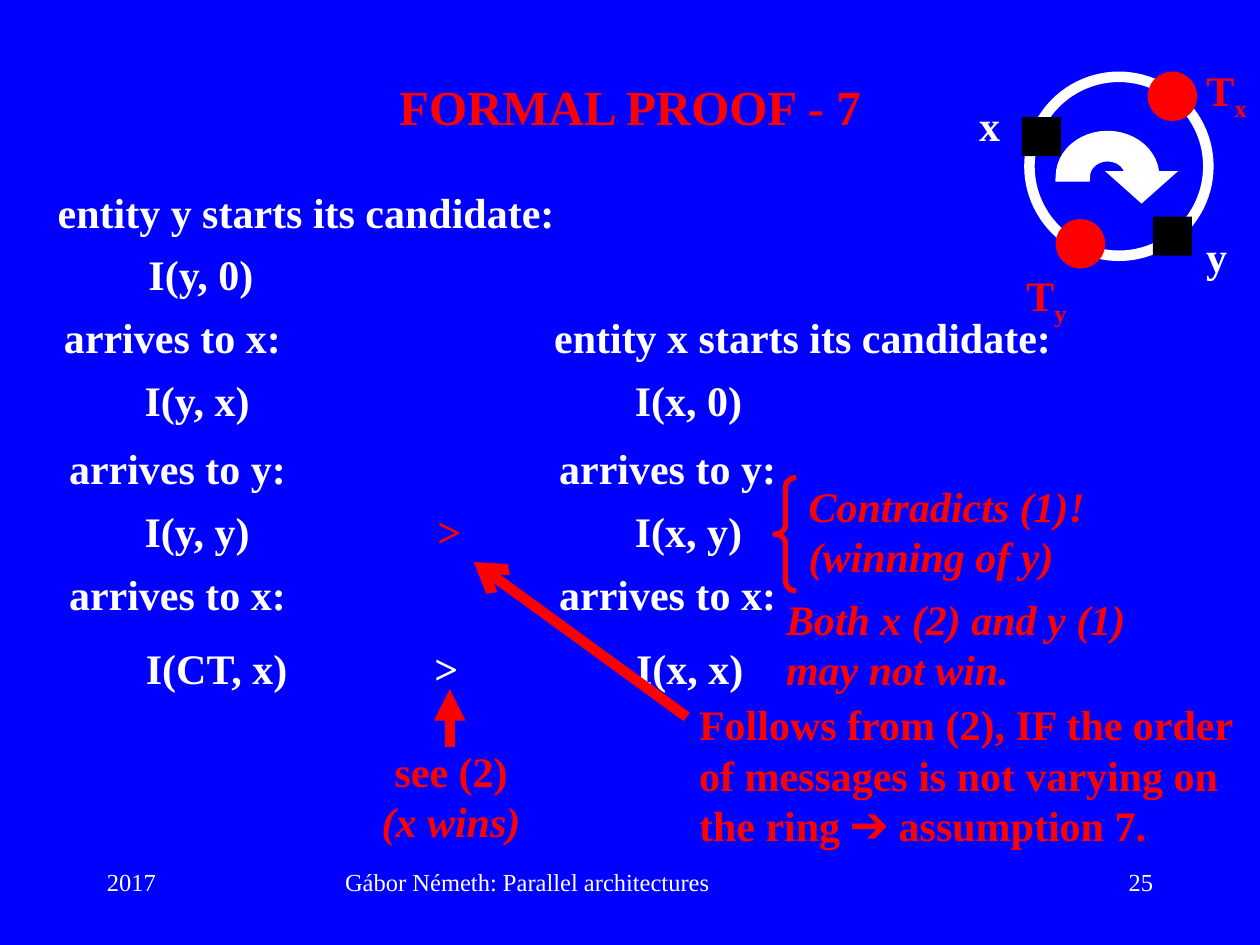
import math

from lxml import etree
from pptx import Presentation
from pptx.dml.color import RGBColor
from pptx.enum import shapes, text
from pptx.oxml.ns import qn
from pptx.util import Inches, Pt

BLUE = RGBColor(0x00, 0x00, 0xFF)
RED = RGBColor(0xFF, 0x00, 0x00)
WHITE = RGBColor(0xFF, 0xFF, 0xFF)
BLACK = RGBColor(0x00, 0x00, 0x00)
LEFT, CENTER, RIGHT = text.PP_ALIGN.LEFT, text.PP_ALIGN.CENTER, text.PP_ALIGN.RIGHT
TOP, MIDDLE = text.MSO_ANCHOR.TOP, text.MSO_ANCHOR.MIDDLE


def write(holder, content, color=WHITE, size=24, bold=True, italic=False,
          align=LEFT, anchor=MIDDLE, wrap=True, tabs=()):
    """Fill a text holder, one paragraph a line, with tab stops in inches."""
    frame = holder.text_frame
    frame.text = content
    frame.word_wrap = wrap
    frame.vertical_anchor = anchor
    font_format = {"name": "Times New Roman", "size": Pt(size), "bold": bold, "italic": italic}
    for paragraph in frame.paragraphs:
        paragraph.alignment = align
        if tabs:
            stops = etree.SubElement(paragraph._p.get_or_add_pPr(), qn("a:tabLst"))
            for stop in tabs:
                etree.SubElement(stops, qn("a:tab"), pos=str(Inches(stop)), algn="l")
        for run in paragraph.runs:
            for key, value in font_format.items():
                setattr(run.font, key, value)
            run.font.color.rgb = color
    return frame


def paint(shape, fill=None, line=None, width=6):
    """Set fill and outline; None leaves that part out."""
    shape.shadow.inherit = False
    for part, color in ((shape.fill, fill), (shape.line.fill, line)):
        if color is None:
            part.background()
        else:
            part.solid()
            part.fore_color.rgb = color
    if line is not None:
        shape.line.width = Pt(width)


deck = Presentation()
deck.slide_width, deck.slide_height = Inches(10), Inches(7.5)
slide = deck.slides.add_slide(deck.slide_layouts[5])
slide.background.fill.solid()
slide.background.fill.fore_color.rgb = BLUE
canvas = slide.shapes

# Title
title = canvas.title
title.left, title.top, title.width, title.height = map(Inches, (0.75, 0.35, 8.5, 0.98))
write(title, "FORMAL PROOF - 7", RED, size=28, align=CENTER)

# Footer
for left, width, content, align in (
    (0.75, 2.08, "2017", LEFT),
    (2.64, 4.73, "Gábor Németh: Parallel architectures", LEFT),
    (7.17, 2.08, "25", RIGHT),
):
    footer = canvas.add_textbox(Inches(left), Inches(6.83), Inches(width), Inches(0.5))
    write(footer, content, size=14, bold=False, align=align, anchor=TOP)

# Proof steps: candidate y on the left, candidate x at the tab stop
X_COLUMN = 3.89
for left, top, width, content, tabs in (
    (0.36, 1.43, 4.3, "entity y starts its candidate:", ()),
    (1.08, 1.92, 1.2, "I(y, 0)", ()),
    (0.41, 2.42, 8.1, "arrives to x:\tentity x starts its candidate:", (X_COLUMN,)),
    (1.05, 2.92, 5.1, "I(y, x)\tI(x, 0)", (X_COLUMN,)),
    (0.45, 3.46, 5.9, "arrives to y:\tarrives to y:", (X_COLUMN,)),
    (1.05, 3.96, 5.1, "I(y, y)\tI(x, y)", (X_COLUMN,)),
    (0.45, 4.46, 5.9, "arrives to x:\tarrives to x:", (X_COLUMN,)),
    (1.06, 5.05, 5.1, "I(CT, x)\t>\tI(x, x)", (2.29, X_COLUMN)),
):
    step = canvas.add_textbox(Inches(left), Inches(top), Inches(width), Inches(0.5))
    write(step, content, tabs=tabs)

# Red remarks
for left, top, width, height, content, style in (
    (2.92, 5.86, 1.32, 0.91, "see (2)\n(x wins)", {"align": CENTER, "wrap": False}),
    (3.37, 3.96, 0.39, 0.5, ">", {"align": CENTER, "wrap": False}),
    (5.45, 5.49, 4.55, 1.31, "Follows from (2), IF the order of messages is not varying "
                             "on the ring ➔ assumption 7.", {}),
    (6.32, 3.76, 3.43, 0.9, "Contradicts (1)!\n(winning of y)", {"italic": True}),
    (6.14, 4.66, 3.43, 0.9, "Both x (2) and y (1) may not win.",
     {"italic": True, "anchor": TOP}),
):
    remark = canvas.add_textbox(Inches(left), Inches(top), Inches(width), Inches(height))
    frame = write(remark, content, RED, **style)
    if content.startswith("see"):
        frame.paragraphs[1].runs[0].font.italic = True

# Arrows from the remarks to the comparisons
for start_x, start_y, tip_x, tip_y, head in (
    (3.57, 5.93, 3.57, 5.47, "triangle"),
    (5.45, 5.69, 3.76, 4.46, "arrow"),
):
    arrow = canvas.add_connector(shapes.MSO_CONNECTOR.STRAIGHT, Inches(start_x),
                                 Inches(start_y), Inches(tip_x), Inches(tip_y))
    arrow.line.color.rgb = RED
    arrow.line.width = Pt(6)
    etree.SubElement(arrow.line._get_or_add_ln(), qn("a:tailEnd"), type=head)
    etree.SubElement(arrow._element.spPr, qn("a:effectLst"))

brace = canvas.add_shape(shapes.MSO_SHAPE.LEFT_BRACE, Inches(6.15), Inches(3.79),
                         Inches(0.17), Inches(0.9))
brace.adjustments[0], brace.adjustments[1] = 0.45, 0.5
paint(brace, line=RED, width=3)

# Ring with entities (squares) and tokens (circles)
OVAL, SQUARE = shapes.MSO_SHAPE.OVAL, shapes.MSO_SHAPE.RECTANGLE
for kind, left, top, size, fill, line in (
    (OVAL, 8.17, 0.61, 1.42, None, WHITE),
    (SQUARE, 8.11, 0.93, 0.31, BLACK, None),
    (SQUARE, 9.15, 1.72, 0.31, BLACK, None),
    (OVAL, 9.15, 0.61, 0.31, RED, RED),
    (OVAL, 8.42, 1.78, 0.31, RED, RED),
):
    node = canvas.add_shape(kind, Inches(left), Inches(top), Inches(size), Inches(size))
    paint(node, fill, line)

# Direction arrow: inner arc leftwards, outer arc back, then the head
half_turn = [math.pi * step / 24 for step in range(25)]
inner = [(8.79 + 0.18 * math.cos(a), 1.4 - 0.16 * math.sin(a)) for a in half_turn]
outer = [(8.79 - 0.37 * math.cos(a), 1.4 - 0.32 * math.sin(a)) for a in half_turn]
outline = inner + outer + [(9.24, 1.4), (9.06, 1.56), (8.88, 1.4)]
points = [(Inches(x), Inches(y)) for x, y in outline]
builder = canvas.build_freeform(*points[0])
builder.add_line_segments(points[1:], close=True)
direction = builder.convert_to_shape()
paint(direction, WHITE, WHITE)
etree.SubElement(direction.line._get_or_add_ln(), qn("a:miter"), lim="800000")

# Ring labels
for left, top, width, label, subscript, color in (
    (7.67, 0.74, 0.37, "x", "", WHITE),
    (9.47, 1.78, 0.37, "y", "", WHITE),
    (9.47, 0.49, 0.53, "T", "x", RED),
    (8.04, 2.12, 0.53, "T", "y", RED),
):
    name = canvas.add_textbox(Inches(left), Inches(top), Inches(width), Inches(0.5))
    frame = name.text_frame
    frame.text = label
    write(name, label, color, align=CENTER, wrap=False)
    if subscript:
        index = frame.paragraphs[0].add_run()
        index.text = subscript
        index.font.name, index.font.size, index.font.bold = "Times New Roman", Pt(24), True
        index.font.color.rgb = color
        index._r.get_or_add_rPr().set("baseline", "-25000")

deck.save("out.pptx")
